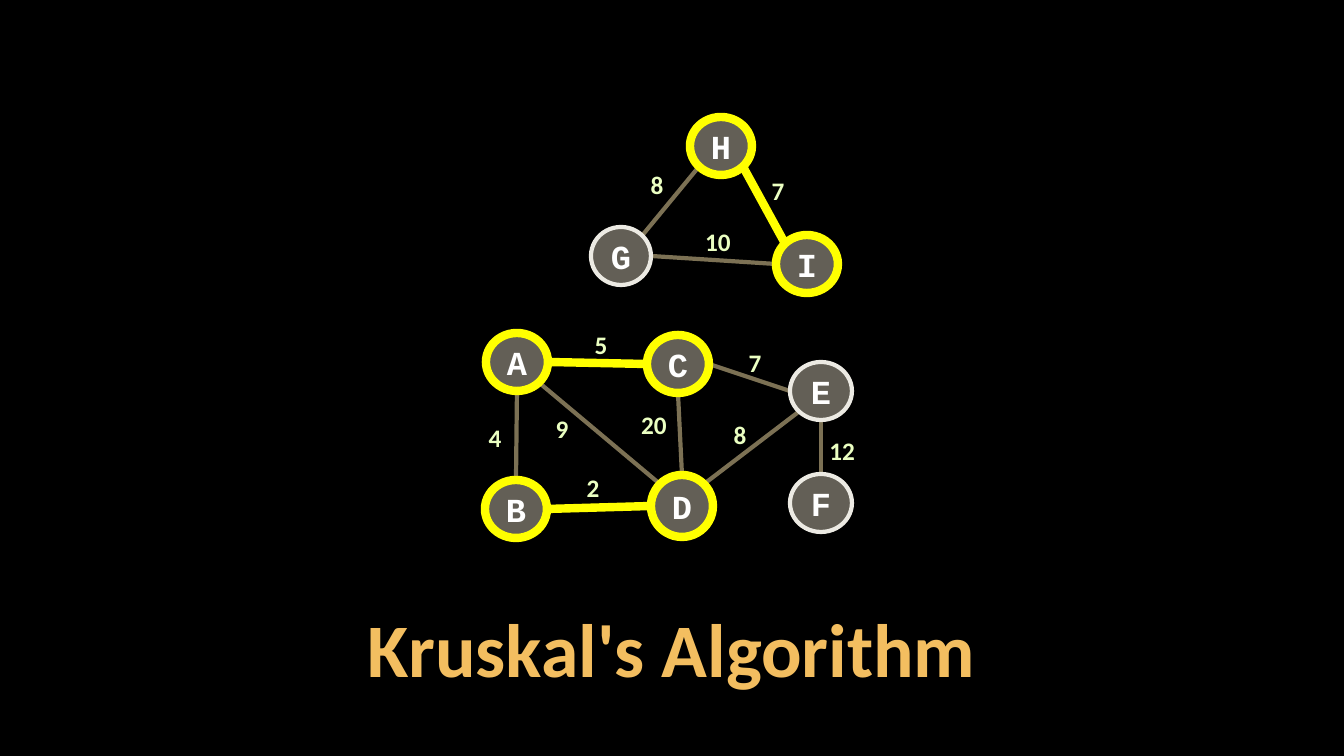
from math import cos, pi, sin

from lxml import etree
from pptx import Presentation
from pptx.dml.color import RGBColor
from pptx.enum.shapes import MSO_CONNECTOR, MSO_SHAPE
from pptx.enum.text import MSO_ANCHOR, PP_ALIGN
from pptx.oxml.ns import qn
from pptx.util import Pt

SCALE = 914400 / 100.8
LINE = MSO_CONNECTOR.STRAIGHT
OVAL = MSO_SHAPE.OVAL
MIDDLE, BOTTOM = MSO_ANCHOR.MIDDLE, MSO_ANCHOR.BOTTOM
CENTER = PP_ALIGN.CENTER

COLORS = {
    "back": "000000", "title": "F3BE60", "weight": "EBFFC2",
    "edge": "7C7154", "chosen": "FFFF00", "node": "C7BFAC",
    "rim": "ECEAE3", "name": "FFFFFF",
}

# The eight connection sites of an ellipse, counterclockwise from the top
N, NW, W, SW, S, SE, E, NE = range(8)

# name: center x, center y, width, height, chosen
NODES = {
    "A": (517, 362, 62, 58, True),
    "B": (516, 509, 62, 58, True),
    "C": (678, 364, 62, 58, True),
    "D": (682, 506, 62, 62, True),
    "E": (821, 391, 62, 58, False),
    "F": (821, 503, 62, 58, False),
    "G": (621, 256, 60, 58, False),
    "H": (721, 146, 62, 58, True),
    "I": (807, 264, 62, 58, True),
}

# from, site, to, site, weight, label center x and y, chosen
EDGES = [
    ("A", S, "B", N, 4, 495, 437, False),
    ("B", E, "D", W, 2, 593, 487, True),
    ("A", SE, "D", NW, 9, 562, 428, False),
    ("E", S, "F", N, 12, 842, 450, False),
    ("D", NE, "E", SW, 8, 740, 434, False),
    ("C", E, "E", W, 7, 755, 362, False),
    ("A", E, "C", W, 5, 601, 344, True),
    ("C", S, "D", N, 20, 654, 424, False),
    ("G", E, "I", W, 10, 718, 241, False),
    ("G", NE, "H", SW, 8, 657, 184, False),
    ("H", SE, "I", NW, 7, 778, 190, True),
]


def px(n):
    return round(n * SCALE)


def rgb(name):
    return RGBColor.from_string(COLORS[name])


def write(shape, text, font="Calibri", size=18, color="weight",
          anchor=MIDDLE, wrap=False, inset=0, spacing=None):
    frame = shape.text_frame
    frame.word_wrap = wrap
    frame.vertical_anchor = anchor
    frame.margin_left = frame.margin_right = px(inset)
    frame.margin_top = frame.margin_bottom = px(inset)
    para = frame.paragraphs[0]
    para.alignment = CENTER
    para.line_spacing = spacing
    run = para.add_run()
    run.text = text
    run.font.name = font
    run.font.size = Pt(size)
    run.font.bold = True
    run.font.color.rgb = rgb(color)


def rim(node, site):
    """Return the point of a connection site on the node's ellipse."""
    turn = site * pi / 4
    x = node.left + node.width / 2 * (1 - sin(turn))
    y = node.top + node.height / 2 * (1 - cos(turn))
    return round(x), round(y)


class Graph:
    def __init__(self, deck):
        self.slide = deck.slides.add_slide(deck.slide_layouts[5])
        self.shapes = self.slide.shapes
        self.nodes = {}
        fill = self.slide.background.fill
        fill.solid()
        fill.fore_color.rgb = rgb("back")

    def title(self, text, x, y, w, h):
        box = self.shapes.title
        box.left, box.top, box.width, box.height = map(px, (x, y, w, h))
        write(box, text, size=54, color="title", anchor=BOTTOM, wrap=True,
              inset=4, spacing=0.9)

    def node(self, name, x, y, w, h, chosen):
        oval = self.shapes.add_shape(
            OVAL, px(x - w / 2), px(y - h / 2), px(w), px(h))
        oval.shadow.inherit = False
        oval.fill.solid()
        oval.fill.fore_color.rgb = rgb("node")
        tint = oval.fill._xPr.find(".//" + qn("a:srgbClr"))
        etree.SubElement(tint, qn("a:alpha"), val="50000")
        oval.line.color.rgb = rgb("chosen" if chosen else "rim")
        oval.line.width = Pt(6 if chosen else 3)
        write(oval, name, font="Courier New", size=24, color="name")
        self.nodes[name] = oval

    def edge(self, start, out, end, into, chosen):
        """Join two nodes by a line that lies behind them."""
        ends = (self.nodes[start], out), (self.nodes[end], into)
        line = self.shapes.add_connector(LINE, *rim(*ends[0]), *rim(*ends[1]))
        line.line.color.rgb = rgb("chosen" if chosen else "edge")
        line.line.width = Pt(6 if chosen else 3)
        item = line._element
        etree.SubElement(item.spPr, qn("a:effectLst"))
        link = item.find(".//" + qn("p:cNvCxnSpPr"))
        for tag, (node, site) in zip(("a:stCxn", "a:endCxn"), ends):
            etree.SubElement(link, qn(tag), id=str(node.shape_id),
                             idx=str(site))
        self.shapes._spTree.insert(2, item)

    def weight(self, value, x, y):
        w, h = 46, 40
        box = self.shapes.add_textbox(
            px(x - w / 2), px(y - h / 2), px(w), px(h))
        write(box, str(value))


def main():
    deck = Presentation()
    deck.slide_width, deck.slide_height = px(1344), px(756)
    graph = Graph(deck)
    graph.title("Kruskal's Algorithm", 101, 607, 1142, 91)
    for name, place in NODES.items():
        graph.node(name, *place)
    for start, out, end, into, value, x, y, chosen in EDGES:
        graph.edge(start, out, end, into, chosen)
        graph.weight(value, x, y)
    deck.save("out.pptx")


if __name__ == "__main__":
    main()
